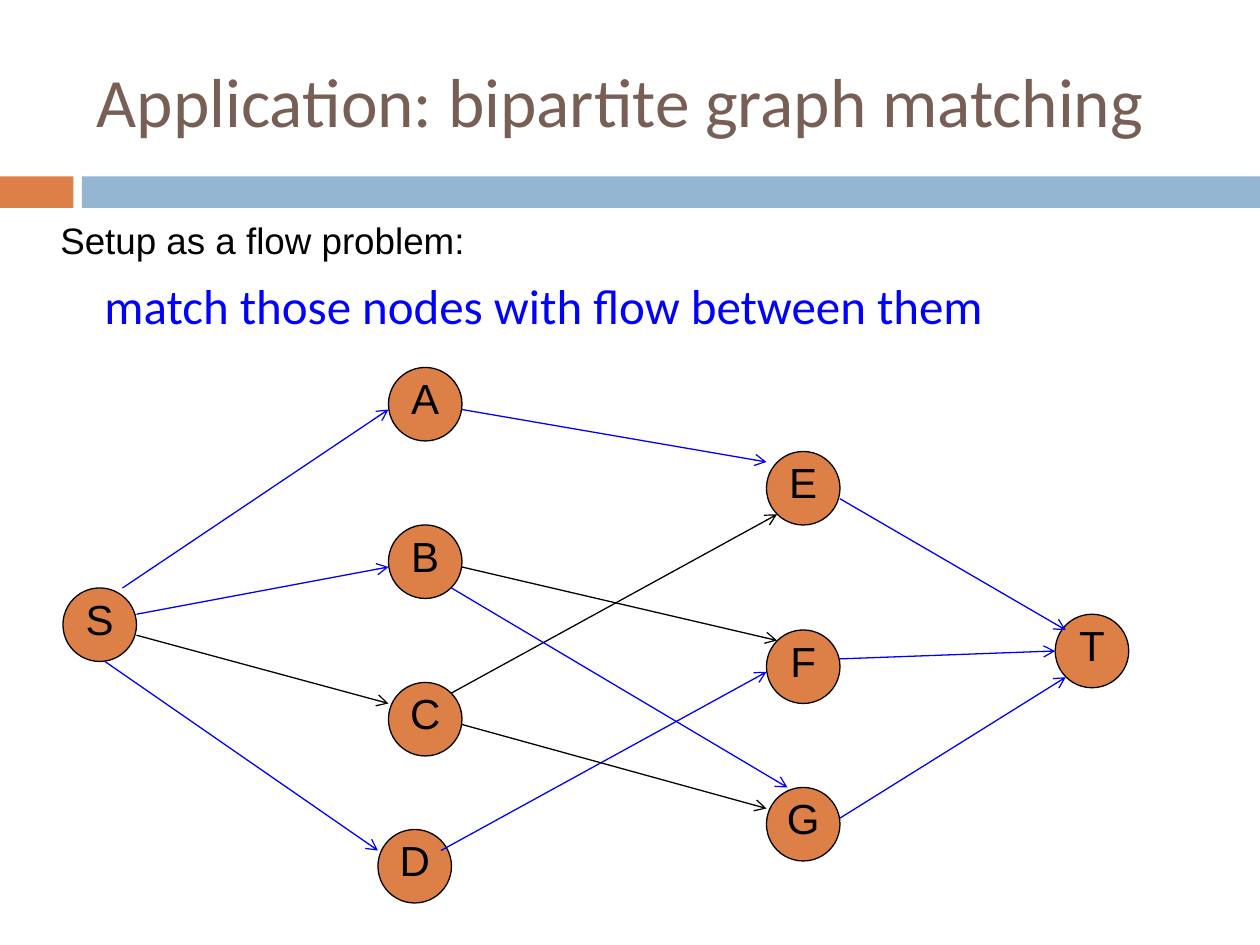
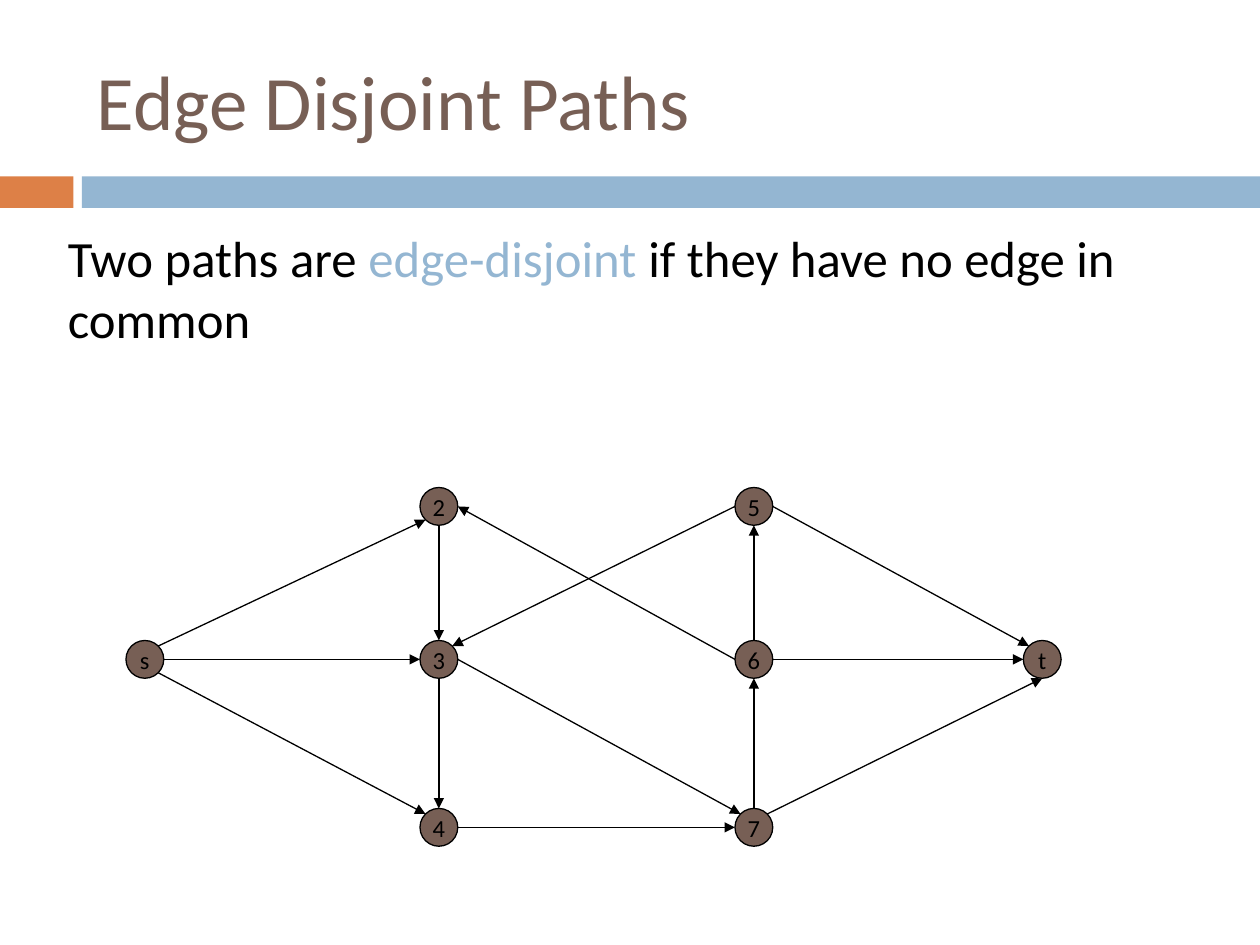
"""Build two slides on network flow: bipartite matching and edge-disjoint paths."""
import math

import lxml.etree
import pptx
import pptx.dml.color
import pptx.enum.shapes
import pptx.enum.text
import pptx.oxml.ns
import pptx.util

Pt = pptx.util.Pt
rgb = pptx.dml.color.RGBColor.from_string
qn = pptx.oxml.ns.qn
kinds = pptx.enum.shapes.MSO_SHAPE
middle = pptx.enum.text.MSO_ANCHOR.MIDDLE
align = pptx.enum.text.PP_ALIGN

ORANGE, SKY, BROWN = "DD8047", "94B6D2", "775F55"
BLACK, BLUE = "000000", "0000FF"
BANDS = [(0, 42, ORANGE), (46.8, 673.2, SKY)]


def write(para, text, size, font, color):
    """Add one formatted run to a paragraph."""
    run = para.add_run()
    run.text = text
    run.font.size = Pt(size)
    run.font.name = font
    run.font.color.rgb = rgb(color)


def shape(slide, kind, box, fill):
    """Add a plain filled shape without outline or shadow."""
    item = slide.shapes.add_shape(kind, *[Pt(v) for v in box])
    item.shadow.inherit = False
    item.fill.solid()
    item.fill.fore_color.rgb = rgb(fill)
    item.line.fill.background()
    return item


match = {
    "title": ("Application: bipartite graph matching", 39.6),
    "texts": [
        ((27.4, 123.8, 648, 77.8), 0.9, 7, 21, "Arial",
         [("Setup as a flow problem:", BLACK)]),
        ((52.6, 154, 622, 41), 1, 0, 28, "Calibri",
         [("match those nodes with flow between them", BLUE)]),
    ],
    "node": (42, ORANGE, 24, "Arial", 0, 7.2),
    "nodes": {
        "A": (222, 210), "B": (222, 300), "C": (222, 390), "D": (216, 474),
        "E": (438, 258), "F": (438, 360), "G": (438, 450),
        "S": (36, 336), "T": (603, 351),
    },
    "tip": "arrow",
    "edges": [
        (252, 486, 438, 384, BLUE),
        (264, 414, 438, 462, BLACK),
        (258, 396, 444, 294, BLACK),
        (264, 324, 444, 366, BLACK),
        (264, 234, 438, 264, BLUE),
        (258, 336, 450, 450, BLUE),
        (70, 336, 222, 234, BLUE),
        (78, 351, 222, 324, BLUE),
        (78, 363, 222, 402, BLACK),
        (60, 378, 216, 486, BLUE),
        (480, 285, 609, 360, BLUE),
        (480, 376.5, 603, 372, BLUE),
        (480, 467.5, 609, 387, BLUE),
    ],
}

paths = {
    "title": ("Edge Disjoint Paths", 44),
    "texts": [
        ((31.7, 126, 658.8, 354), 1, 7, 29, "Calibri",
         [("Two paths are ", BLACK), ("edge-disjoint", SKY),
          (" if they have no edge in common", BLACK)]),
    ],
    "node": (21.6, BROWN, 14, "Calibri", 3.6, 3.6),
    "nodes": {
        "s": (72, 366), "2": (240, 278.6), "3": (240, 366), "4": (240, 462),
        "5": (420, 278.6), "6": (420, 366), "7": (420, 462), "t": (584.8, 366),
    },
    "tip": "triangle",
    "edges": [],
}

compass = ["E", "SE", "S", "SW", "W", "NW", "N", "NE"]
links = [
    "s NE 2 SW", "s E 3 W", "s SE 4 NW", "2 S 3 N", "3 S 4 N", "3 E 7 NW",
    "4 E 7 W", "7 N 6 S", "6 N 5 S", "5 E t NW", "6 E t W", "7 NE t S",
    "6 W 2 E", "5 W 3 NE",
]
half = paths["node"][0] / 2
for link in links:
    tail, out, head, into = link.split()
    ends = []
    for name, side in ((tail, out), (head, into)):
        x, y = paths["nodes"][name]
        turn = compass.index(side) * math.pi / 4
        ends += [x + half + half * math.cos(turn), y + half + half * math.sin(turn)]
    paths["edges"].append((*ends, BLACK))

deck = pptx.Presentation()
deck.slide_width, deck.slide_height = Pt(720), Pt(540)

for page in (match, paths):
    slide = deck.slides.add_slide(deck.slide_layouts[5])

    for left, width, color in BANDS:
        shape(slide, kinds.RECTANGLE, (left, 100.8, width, 18), color)

    title = slide.shapes.title
    title.left, title.top, title.width, title.height = Pt(48), Pt(18), Pt(642), Pt(78)
    title.text_frame.vertical_anchor = middle
    para = title.text_frame.paragraphs[0]
    para.alignment = align.LEFT
    write(para, *page["title"], "Calibri", BROWN)

    for box, lines, before, size, font, runs in page["texts"]:
        frame = slide.shapes.add_textbox(*[Pt(v) for v in box]).text_frame
        frame.word_wrap = True
        para = frame.paragraphs[0]
        para.line_spacing = lines
        para.space_before = Pt(before)
        for text, color in runs:
            write(para, text, size, font, color)

    wide, fill, size, font, top, bottom = page["node"]
    for name, (x, y) in page["nodes"].items():
        node = shape(slide, kinds.OVAL, (x, y, wide, wide), fill)
        node.line.color.rgb = rgb(BLACK)
        node.line.width = Pt(0.75)
        frame = node.text_frame
        frame.word_wrap = False
        frame.vertical_anchor = middle
        frame.margin_top, frame.margin_bottom = Pt(top), Pt(bottom)
        para = frame.paragraphs[0]
        para.alignment = align.CENTER
        write(para, name, size, font, BLACK)

    for *ends, color in page["edges"]:
        edge = slide.shapes.add_connector(
            pptx.enum.shapes.MSO_CONNECTOR.STRAIGHT, *[Pt(v) for v in ends])
        edge.line.color.rgb = rgb(color)
        edge.line.width = Pt(0.75)
        props = edge._element.spPr
        lxml.etree.SubElement(props.find(qn("a:ln")), qn("a:tailEnd"), type=page["tip"])
        lxml.etree.SubElement(props, qn("a:effectLst"))

deck.save("out.pptx")
